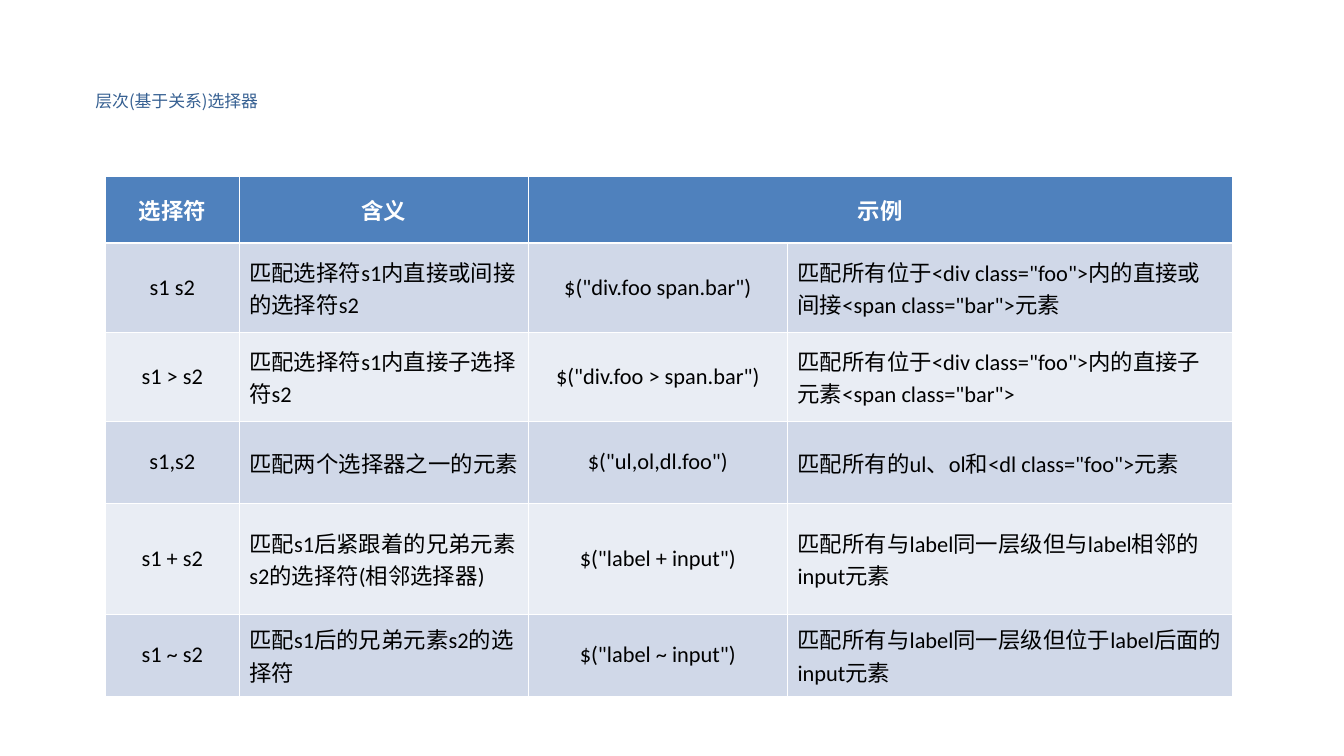
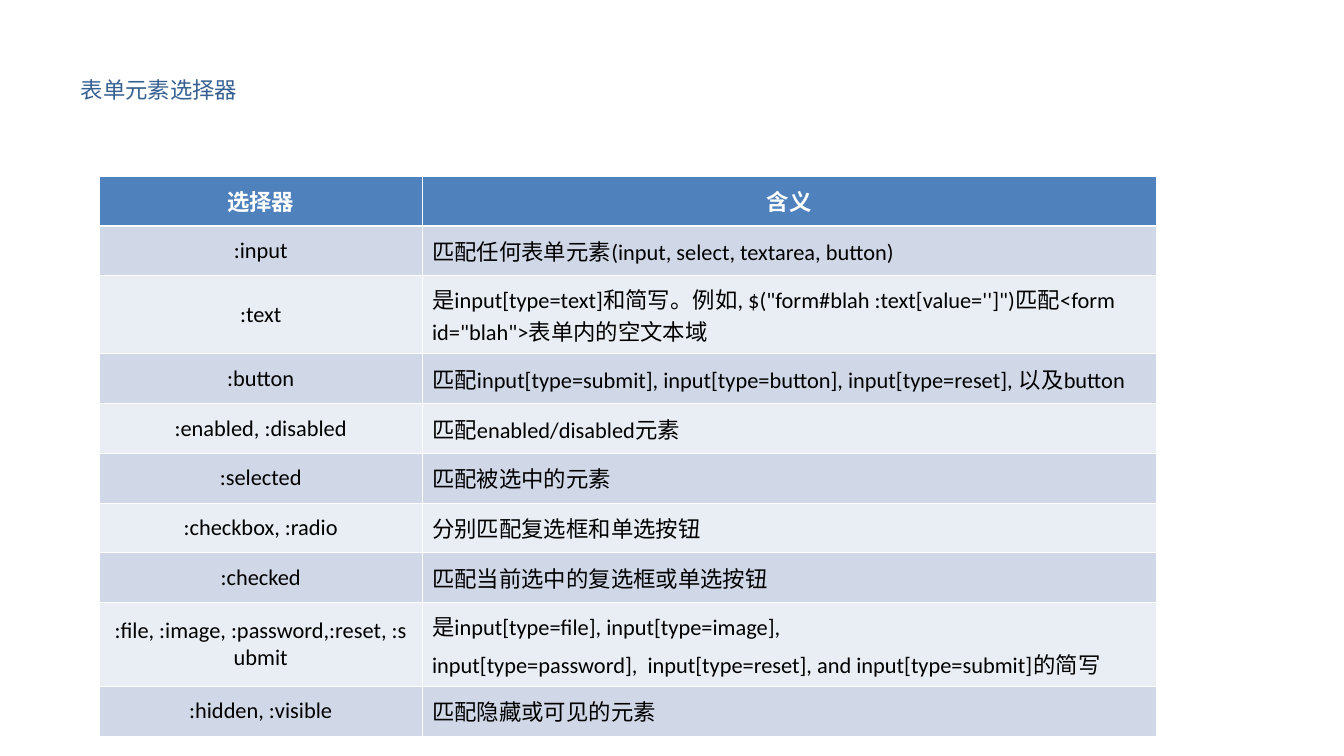
from dataclasses import dataclass

from lxml import etree
from pptx import Presentation
from pptx.dml.color import RGBColor
from pptx.enum.text import MSO_ANCHOR, PP_ALIGN
from pptx.oxml.ns import qn
from pptx.util import Emu, Pt

MIDDLE = MSO_ANCHOR.MIDDLE
LEFT, CENTER = PP_ALIGN.LEFT, PP_ALIGN.CENTER
EMU_PER_PX = 4572
PAGE_SIZE = (2000, 1125)
TITLE_ONLY = 5


@dataclass(frozen=True)
class Theme:
    title: str = "366092"
    header: str = "4F81BD"
    bands: tuple = ("D0D8E8", "E9EDF4")
    rule: str = "FFFFFF"
    header_text: str = "FFFFFF"
    body_text: str = "000000"
    table_font: str = "Calibri"
    title_font: str = "Arial"
    chinese_font: str = "Noto Sans CJK SC"
    small_title_size: int = 9
    text_size: int = 12
    paragraph_gap: int = 3
    thin_rule: float = 0.45
    thick_rule: float = 1.47


THEME = Theme()

HIERARCHY_ROWS = [
    ("选择符", "含义", "示例", ""),
    ("s1 s2", "匹配选择符s1内直接或间接的选择符s2", '$("div.foo span.bar")',
     '匹配所有位于<div class="foo">内的直接或间接<span class="bar">元素'),
    ("s1 > s2", "匹配选择符s1内直接子选择符s2", '$("div.foo > span.bar")',
     '匹配所有位于<div class="foo">内的直接子元素<span class="bar">'),
    ("s1,s2", "匹配两个选择器之一的元素", '$("ul,ol,dl.foo")',
     '匹配所有的ul、ol和<dl class="foo">元素'),
    ("s1 + s2", "匹配s1后紧跟着的兄弟元素s2的选择符(相邻选择器)", '$("label + input")',
     "匹配所有与label同一层级但与label相邻的input元素"),
    ("s1 ~ s2", "匹配s1后的兄弟元素s2的选择符", '$("label ~ input")',
     "匹配所有与label同一层级但位于label后面的input元素"),
]

FORM_ROWS = [
    ("选择器", "含义"),
    (":input", "匹配任何表单元素(input, select, textarea, button)"),
    (":text", "是input[type=text]和简写。例如, $(\"form#blah :text[value='']\")"
              '匹配<form id="blah">表单内的空文本域'),
    (":button", "匹配input[type=submit], input[type=button], input[type=reset], 以及button"),
    (":enabled, :disabled", "匹配enabled/disabled元素"),
    (":selected", "匹配被选中的元素"),
    (":checkbox, :radio", "分别匹配复选框和单选按钮"),
    (":checked", "匹配当前选中的复选框或单选按钮"),
    (":file, :image, :password,:reset, :submit",
     "是input[type=file], input[type=image],\n"
     "input[type=password],  input[type=reset], and input[type=submit]的简写"),
    (":hidden, :visible", "匹配隐藏或可见的元素"),
]


def px(length):
    return Emu(length * EMU_PER_PX)


def format_text(frame, font, size, color, align, bold=False):
    for index, para in enumerate(frame.paragraphs):
        para.alignment = align
        if index:
            para.space_before = Pt(THEME.paragraph_gap)
        for span in para.runs:
            span.font.name = font
            span.font.size = Pt(size)
            span.font.bold = bold
            span.font.color.rgb = RGBColor.from_string(color)
            east_asian = etree.Element(qn("a:ea"), typeface=THEME.chinese_font)
            span.font._element.find(qn("a:latin")).addnext(east_asian)


def add_titled_page(deck, title, box, font, size):
    page = deck.slides.add_slide(deck.slide_layouts[TITLE_ONLY])
    heading = page.shapes.title
    heading.left, heading.top, heading.width, heading.height = map(px, box)
    frame = heading.text_frame
    frame.text = title
    frame.vertical_anchor = MIDDLE
    format_text(frame, font, size, THEME.title, LEFT)
    return page


def set_borders(cell, row):
    widths = dict.fromkeys(("lnL", "lnR", "lnT", "lnB"), THEME.thin_rule)
    if row == 0:
        widths["lnB"] = THEME.thick_rule
    elif row == 1:
        widths["lnT"] = THEME.thick_rule
    properties = cell._tc.get_or_add_tcPr()
    for side, width in widths.items():
        line = etree.SubElement(properties, qn(f"a:{side}"), w=str(int(Pt(width))))
        fill = etree.SubElement(line, qn("a:solidFill"))
        etree.SubElement(fill, qn("a:srgbClr"), val=THEME.rule)


def format_cell(cell, text, row, centered):
    is_header = row == 0
    set_borders(cell, row)
    cell.fill.solid()
    fill = THEME.header if is_header else THEME.bands[(row - 1) % 2]
    cell.fill.fore_color.rgb = RGBColor.from_string(fill)
    cell.vertical_anchor = MIDDLE
    cell.margin_left = cell.margin_right = px(15)
    cell.margin_top = cell.margin_bottom = px(10)
    cell.text_frame.text = text
    color = THEME.header_text if is_header else THEME.body_text
    align = CENTER if is_header or centered else LEFT
    format_text(cell.text_frame, THEME.table_font, THEME.text_size, color, align, is_header)


def add_selector_table(page, left, top, widths, heights, rows):
    frame = page.shapes.add_table(len(rows), len(widths), px(left), px(top),
                                  px(sum(widths)), px(sum(heights)))
    table = frame.table
    table.first_row = table.horz_banding = False
    for column, width in zip(table.columns, widths):
        column.width = px(width)
    for row, height in zip(table.rows, heights):
        row.height = px(height)
    for row, texts in enumerate(rows):
        for column, text in enumerate(texts):
            format_cell(table.cell(row, column), text, row, centered=column % 2 == 0)
    return table


def add_hierarchy_page(deck):
    page = add_titled_page(deck, "层次(基于关系)选择器", (122, 106, 1564, 88),
                           THEME.chinese_font, THEME.small_title_size)
    table = add_selector_table(page, 157, 131 * 2, (199, 430, 386, 662),
                               (100, 132, 133, 122, 136, 122), HIERARCHY_ROWS)
    table.cell(0, 2).merge(table.cell(0, 3))


def add_form_page(deck):
    page = add_titled_page(deck, "表单元素选择器", (100, 89, 1822, 88),
                           THEME.title_font, THEME.text_size)
    heights = [74] * len(FORM_ROWS)
    heights[2], heights[8] = 96, 104
    add_selector_table(page, 148, 262, (480, 1093), heights, FORM_ROWS)


def main():
    deck = Presentation()
    deck.slide_width, deck.slide_height = map(px, PAGE_SIZE)
    add_hierarchy_page(deck)
    add_form_page(deck)
    deck.save("out.pptx")


if __name__ == "__main__":
    main()
